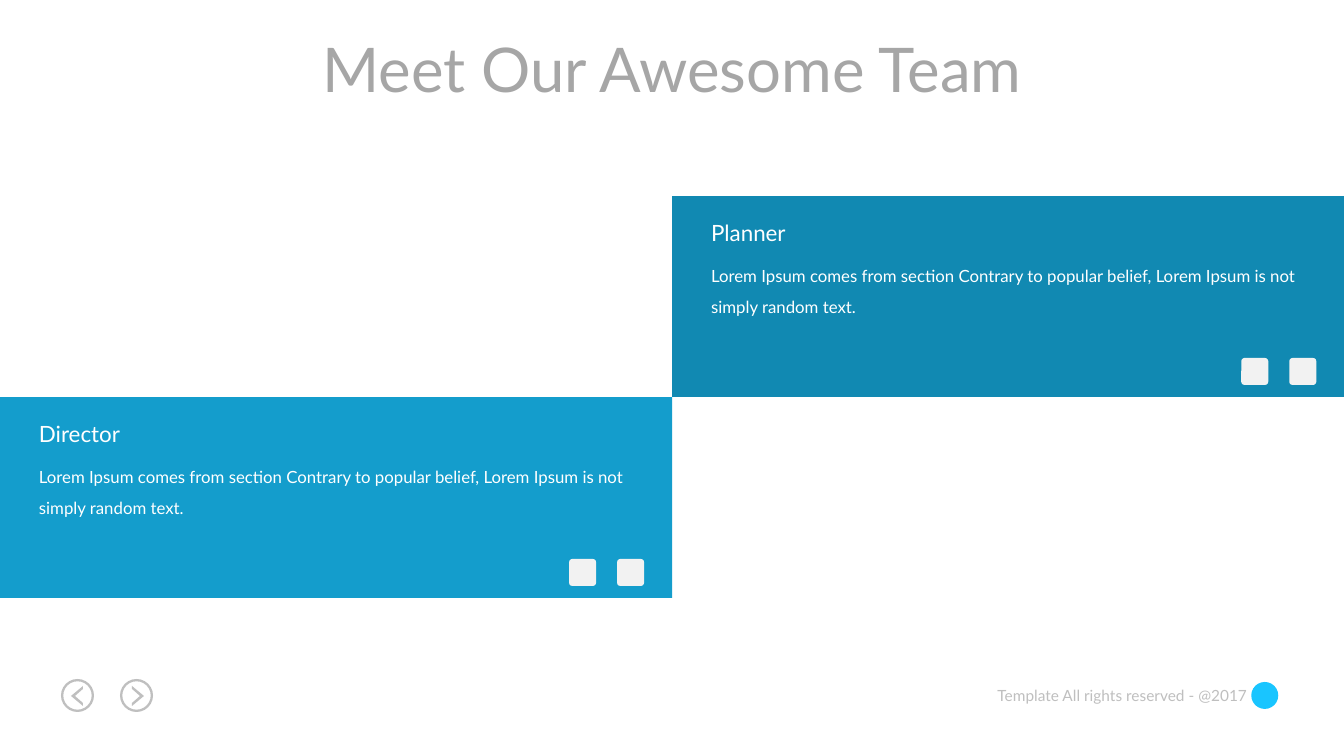
from dataclasses import dataclass

from pptx import Presentation
from pptx.dml.color import RGBColor
from pptx.enum.shapes import MSO_SHAPE
from pptx.enum.text import MSO_ANCHOR, MSO_AUTO_SIZE, PP_ALIGN
from pptx.util import Inches, Pt

RECT = MSO_SHAPE.RECTANGLE
ROUNDED = MSO_SHAPE.ROUNDED_RECTANGLE
OVAL = MSO_SHAPE.OVAL
RING = MSO_SHAPE.DONUT
LEFT, CENTER, RIGHT = PP_ALIGN.LEFT, PP_ALIGN.CENTER, PP_ALIGN.RIGHT
TOP = MSO_ANCHOR.TOP
GROW = MSO_AUTO_SIZE.SHAPE_TO_FIT_TEXT
TITLE_ONLY = 5
EMU_PER_PX = Inches(1) / 100.8


@dataclass(frozen=True)
class Theme:
    font: str = "Lato"
    title: str = "A6A6A6"
    muted: str = "BFBFBF"
    white: str = "FFFFFF"
    icon: str = "F2F2F2"
    accent: str = "19C5FF"
    director: str = "149DCC"
    planner: str = "1189B2"
    title_size: int = 44
    heading_size: int = 16
    body_size: int = 12
    footer_size: int = 11


class TeamSlide:
    def __init__(self, deck, theme):
        self.theme = theme
        self.page = deck.slides.add_slide(deck.slide_layouts[TITLE_ONLY])

    def lengths(self, *px):
        return [round(value * EMU_PER_PX) for value in px]

    def paint(self, shape, color):
        shape.fill.solid()
        shape.fill.fore_color.rgb = RGBColor.from_string(color)
        shape.line.fill.background()
        shape.shadow.inherit = False

    def fill_text(self, box, words, size, color, align=LEFT, wrap=False, spacing=1.0):
        frame = box.text_frame
        frame.word_wrap = wrap
        frame.auto_size = GROW
        frame.vertical_anchor = TOP
        para = frame.paragraphs[0]
        para.alignment = align
        para.line_spacing = spacing
        span = para.add_run()
        span.text = words
        span.font.name = self.theme.font
        span.font.size = Pt(size)
        span.font.color.rgb = RGBColor.from_string(color)

    def title(self, words, *bounds):
        box = self.page.shapes.title
        box.left, box.top, box.width, box.height = self.lengths(*bounds)
        self.fill_text(box, words, self.theme.title_size, self.theme.title, CENTER)

    def text(self, words, bounds, size, color, **layout):
        box = self.page.shapes.add_textbox(*self.lengths(*bounds))
        self.fill_text(box, words, size, color, **layout)

    def shape(self, kind, bounds, color, adjustment=None):
        shape = self.page.shapes.add_shape(kind, *self.lengths(*bounds))
        if adjustment is not None:
            shape.adjustments[0] = adjustment
        self.paint(shape, color)

    def polygon(self, points, color):
        builder = self.page.shapes.build_freeform(*points[0], scale=EMU_PER_PX)
        builder.add_line_segments(points[1:], close=True)
        self.paint(builder.convert_to_shape(), color)

    def arrow_button(self, x, y, direction):
        """Ring with a chevron; direction is -1 for left, 1 for right."""
        self.shape(RING, (x - 17, y - 17, 33, 33), self.theme.muted, 0.07)
        chevron = [(-5, -7), (3, 0), (-5, 7), (-5, 10), (7, 0), (-5, -10)]
        self.polygon([(x + direction * dx, y + dy) for dx, dy in chevron], self.theme.muted)

    def card(self, role, words, x, y, heading_width, color):
        theme = self.theme
        self.shape(RECT, (x, y, 672, 201), color)
        self.text(words, (x + 29, y + 55, 615, 72), theme.body_size, theme.white,
                  wrap=True, spacing=1.5)
        self.text(role, (x + 29, y + 18, heading_width, 37), theme.heading_size, theme.white)
        for icon_x in (569, 617):
            self.shape(ROUNDED, (x + icon_x, y + 162, 27, 27), theme.icon, 0.12)


def main():
    deck = Presentation()
    deck.slide_width, deck.slide_height = Inches(13.33), Inches(7.5)
    theme = Theme()
    slide = TeamSlide(deck, theme)

    # Footer: navigation, rights line and emblem
    slide.text("Template All rights reserved - @2017", (982, 681, 275, 29),
               theme.footer_size, theme.muted, align=RIGHT)
    for x, direction in ((78, -1), (137, 1)):
        slide.arrow_button(x, 696, direction)
    slide.shape(OVAL, (1251, 682, 27, 27), theme.accent)

    # Title
    slide.title("Meet Our Awesome Team", 283, 26, 778, 85)

    # Team cards
    words = ("Lorem Ipsum comes from section Contrary to popular belief, "
             "Lorem Ipsum is not simply random text.")
    slide.card("Director", words, 0, 397, 104, theme.director)
    slide.card("Planner", words, 672, 196, 96, theme.planner)

    deck.save("out.pptx")


if __name__ == "__main__":
    main()
